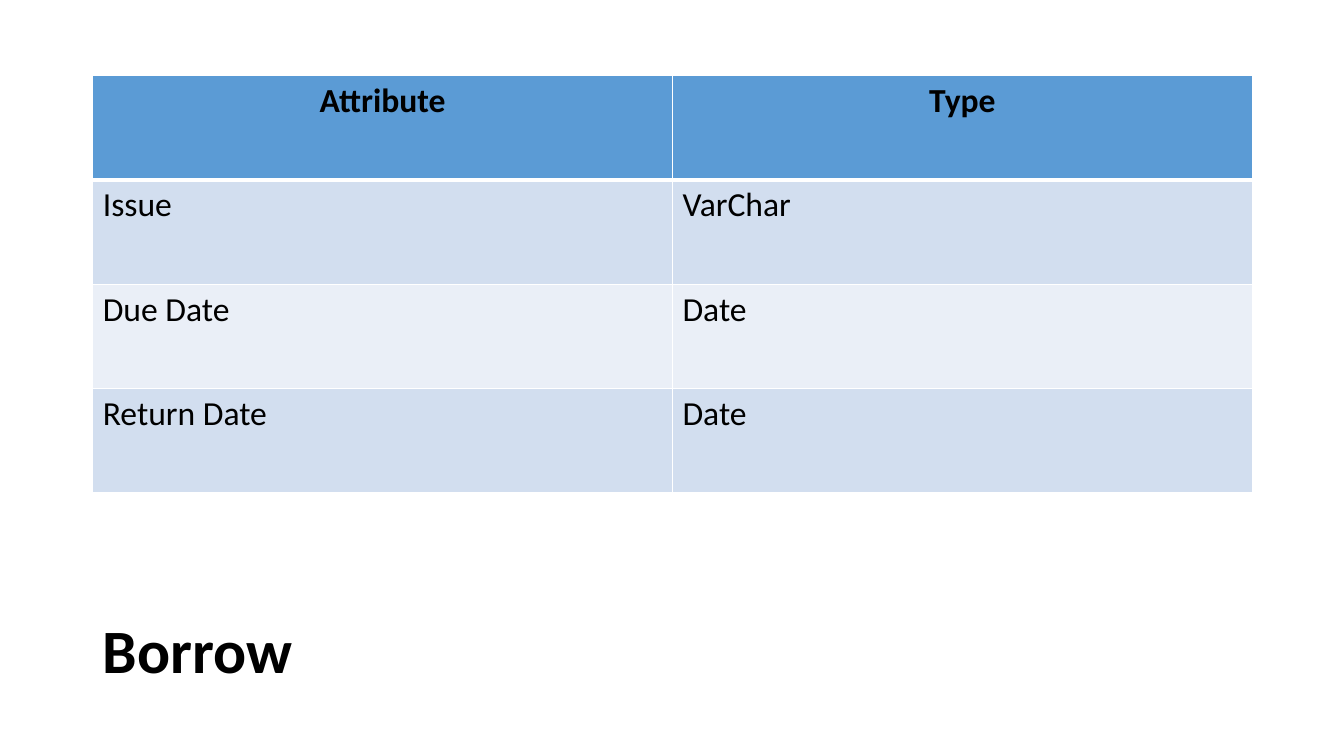
from dataclasses import dataclass
from typing import NamedTuple

from lxml.etree import SubElement
from pptx import Presentation
from pptx.dml.color import RGBColor
from pptx.enum.text import MSO_ANCHOR as Anchor, PP_ALIGN as Align
from pptx.oxml.ns import qn
from pptx.util import Inches, Pt


@dataclass(frozen=True)
class Theme:
    font: str = "Calibri"
    text: str = "000000"
    border: str = "FFFFFF"
    header: str = "5B9BD5"
    bands: tuple[str, str] = ("D2DEEF", "EAEFF7")
    title_size: int = 44
    table_size: int = 24
    thin: int = 1
    thick: int = 3


class Attribute(NamedTuple):
    name: str
    type: str


THEME = Theme()
WIDTH, HEIGHT = Inches(13.33), Inches(7.5)
LEFT, CONTENT_WIDTH = Inches(0.92), Inches(11.5)
TABLE_TOP, TABLE_HEIGHT = int(HEIGHT * 0.1), Inches(4.14)
TITLE_TOP, TITLE_HEIGHT = Inches(5.76), Inches(1.45)

HEADER = Attribute("Attribute", "Type")
ATTRIBUTES = [
    Attribute("Issue", "VarChar"),
    Attribute("Due Date", "Date"),
    Attribute("Return Date", "Date"),
]


def format_text(text_frame, size: int, bold: bool, alignment: Align) -> None:
    for paragraph in text_frame.paragraphs:
        paragraph.alignment = alignment
        for run in paragraph.runs:
            run.font.name = THEME.font
            run.font.size = Pt(size)
            run.font.bold = bold
            run.font.color.rgb = RGBColor.from_string(THEME.text)


def add_borders(cell, top: int, bottom: int) -> None:
    properties = cell._tc.get_or_add_tcPr()
    widths = {"lnL": THEME.thin, "lnR": THEME.thin, "lnT": top, "lnB": bottom}
    for side, width in widths.items():
        line = SubElement(properties, qn(f"a:{side}"), w=str(Pt(width)))
        fill = SubElement(line, qn("a:solidFill"))
        SubElement(fill, qn("a:srgbClr"), val=THEME.border)


def add_title(slide, text: str) -> None:
    title = slide.shapes.title
    title.left, title.top = LEFT, TITLE_TOP
    title.width, title.height = CONTENT_WIDTH, TITLE_HEIGHT
    title.text_frame.text = text
    title.text_frame.vertical_anchor = Anchor.MIDDLE
    title.text_frame.paragraphs[0].line_spacing = 0.9
    format_text(title.text_frame, THEME.title_size, True, Align.LEFT)


def add_attribute_table(slide, attributes: list[Attribute]) -> None:
    records = [HEADER, *attributes]
    table = slide.shapes.add_table(
        len(records), len(HEADER), LEFT, TABLE_TOP, CONTENT_WIDTH, TABLE_HEIGHT
    ).table
    for row, record in enumerate(records):
        is_header = row == 0
        color = THEME.header if is_header else THEME.bands[(row - 1) % 2]
        top = THEME.thick if row == 1 else THEME.thin
        bottom = THEME.thick if is_header else THEME.thin
        alignment = Align.CENTER if is_header else Align.LEFT
        for column, text in enumerate(record):
            cell = table.cell(row, column)
            cell.text_frame.text = text
            format_text(cell.text_frame, THEME.table_size, is_header, alignment)
            add_borders(cell, top, bottom)
            cell.fill.solid()
            cell.fill.fore_color.rgb = RGBColor.from_string(color)


presentation = Presentation()
presentation.slide_width, presentation.slide_height = WIDTH, HEIGHT
slide = presentation.slides.add_slide(presentation.slide_layouts[5])
add_title(slide, "Borrow")
add_attribute_table(slide, ATTRIBUTES)
presentation.save("out.pptx")
